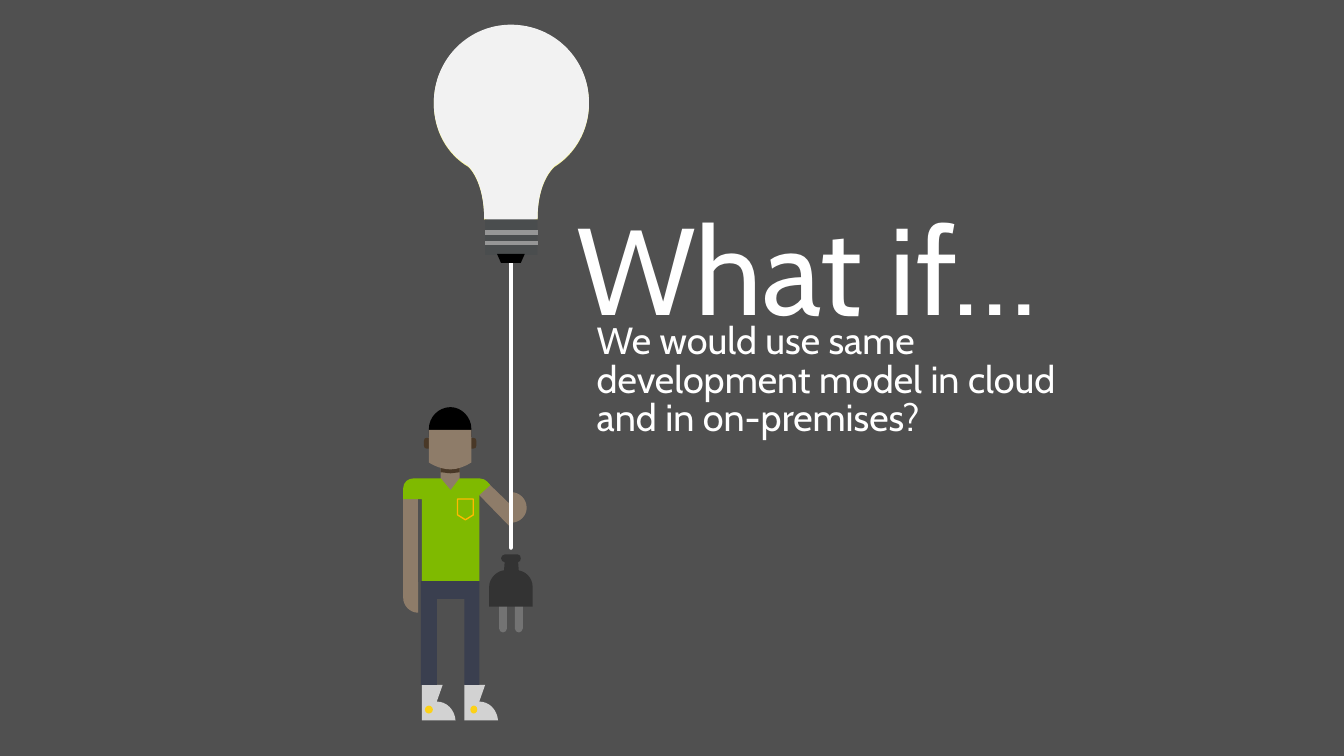
from lxml import etree
from pptx import Presentation
from pptx.dml.color import RGBColor
from pptx.enum.shapes import MSO_CONNECTOR, MSO_SHAPE
from pptx.enum.text import MSO_ANCHOR, PP_ALIGN
from pptx.oxml.ns import qn
from pptx.util import Inches, Pt

STRAIGHT = MSO_CONNECTOR.STRAIGHT
RECTANGLE, OVAL = MSO_SHAPE.RECTANGLE, MSO_SHAPE.OVAL
TOP, LEFT, RIGHT = MSO_ANCHOR.TOP, PP_ALIGN.LEFT, PP_ALIGN.RIGHT

BACKGROUND = RGBColor(0x50, 0x50, 0x50)
WHITE = RGBColor(0xFF, 0xFF, 0xFF)
BLACK = RGBColor(0, 0, 0)
SKIN = RGBColor(0x8E, 0x7C, 0x69)
SKIN_SHADE = RGBColor(0x49, 0x38, 0x27)
SHIRT = RGBColor(0x7F, 0xBA, 0x00)
POCKET = RGBColor(0xFF, 0xB9, 0x00)
TROUSERS = RGBColor(0x3A, 0x3F, 0x4F)
SHOE = RGBColor(0xD2, 0xD2, 0xD2)
SHOE_DOT = RGBColor(0xFC, 0xD1, 0x16)
PRONG = RGBColor(0x73, 0x73, 0x73)
PLUG = RGBColor(0x33, 0x33, 0x33)
GLOW = RGBColor(0xFF, 0xFC, 0x9E)
BULB = RGBColor(0xF2, 0xF2, 0xF2)
SOCKET = RGBColor(0x4A, 0x4D, 0x4E)
THREAD = RGBColor(0x96, 0x96, 0x96)

UNITS_PER_INCH = 1000

deck = Presentation()
deck.slide_width, deck.slide_height = Inches(13.6), Inches(7.65)
page = deck.slides.add_slide(deck.slide_layouts[6])
page.background.fill.solid()
page.background.fill.fore_color.rgb = BACKGROUND


def add_outline(steps, fill=None, right=0, down=0):
    """Two numbers are a corner, six are a Bezier curve to the last point."""
    points = [((step[i] + right) * UNITS_PER_INCH, (step[i + 1] + down) * UNITS_PER_INCH)
              for step in steps for i in range(0, len(step), 2)]
    builder = page.shapes.build_freeform(*points[0], scale=Inches(1) / UNITS_PER_INCH)
    builder.add_line_segments(points[1:], close=True)
    shape = builder.convert_to_shape()
    # Join the three points of each curve into one Bezier segment
    segments = iter(list(shape._element.iter(qn("a:lnTo"))))
    for step in steps[1:]:
        segment = next(segments)
        if len(step) == 6:
            segment.tag = qn("a:cubicBezTo")
            for _ in range(2):
                extra = next(segments)
                segment.append(extra[0])
                extra.getparent().remove(extra)
    shape.shadow.inherit = False
    if fill is None:
        shape.fill.background()
    else:
        shape.fill.solid()
        shape.fill.fore_color.rgb = fill
        shape.line.fill.background()
    return shape


def add_preset(kind, left, top, width, height, fill):
    shape = page.shapes.add_shape(kind, Inches(left), Inches(top), Inches(width), Inches(height))
    shape.shadow.inherit = False
    shape.fill.solid()
    shape.fill.fore_color.rgb = fill
    shape.line.fill.background()


# Title and question
for text, left, top, width, height, size, align in [
    ("What if… ", 5.61, 2.12, 5.26, 1.36, 89.8, RIGHT),
    ("We would use same development model in cloud and in on-premises?",
     5.94, 3.22, 4.96, 0.52, 27.5, LEFT),
]:
    box = page.shapes.add_textbox(Inches(left), Inches(top), Inches(width), Inches(height))
    frame = box.text_frame
    frame.word_wrap = True
    frame.vertical_anchor = TOP
    frame.margin_left = frame.margin_right = Inches(0.1)
    frame.margin_top = frame.margin_bottom = Inches(0.06)
    para = frame.paragraphs[0]
    para.alignment = align
    para.line_spacing = 0.85
    span = para.add_run()
    span.text = text
    span.font.name = "Cabin"
    span.font.size = Pt(size)
    span.font.color.rgb = WHITE

# Ears, hanging arm, neck and head
add_outline([(4.29, 4.51), (4.29, 4.53, 4.3, 4.54, 4.32, 4.54), (4.79, 4.54),
             (4.81, 4.54, 4.82, 4.53, 4.82, 4.51), (4.82, 4.46),
             (4.82, 4.44, 4.81, 4.43, 4.79, 4.43), (4.32, 4.43),
             (4.3, 4.43, 4.29, 4.44, 4.29, 4.46)], SKIN_SHADE)
add_preset(RECTANGLE, 4.08, 5.04, 0.15, 1.01, SKIN)
add_outline([(4.23, 5.89), (4.23, 6.2), (4.15, 6.2, 4.08, 6.13, 4.08, 6.05),
             (4.08, 5.96, 4.15, 5.89, 4.23, 5.89)], SKIN)
add_outline([(4.56, 4.99), (4.65, 4.98), (4.65, 4.63), (4.46, 4.63), (4.46, 4.99)], SKIN)
add_outline([(4.65, 4.78), (4.62, 4.78, 4.59, 4.79, 4.56, 4.79),
             (4.53, 4.79, 4.49, 4.78, 4.46, 4.78), (4.46, 4.63), (4.65, 4.63)], SKIN_SHADE)
add_outline([(4.56, 4.12), (4.67, 4.12, 4.77, 4.22, 4.77, 4.34), (4.77, 4.42),
             (4.34, 4.42), (4.34, 4.34), (4.34, 4.22, 4.44, 4.12, 4.56, 4.12)], BLACK)
add_outline([(4.77, 4.35), (4.77, 4.68), (4.71, 4.72, 4.63, 4.75, 4.56, 4.75),
             (4.44, 4.75, 4.34, 4.68, 4.34, 4.68), (4.34, 4.35)], SKIN)

# Raised arm
add_outline([(4.92, 4.87), (4.89, 4.84, 4.85, 4.84, 4.82, 4.87),
             (4.79, 4.9, 4.79, 4.95, 4.82, 4.98), (5.17, 5.34), (5.21, 5.15)], SKIN)

# Shoes
for right in (0, 0.43):
    add_outline([(4.42, 7.1), (4.48, 6.93), (4.27, 6.93), (4.27, 7.29), (4.61, 7.29),
                 (4.6, 7.18, 4.52, 7.1, 4.42, 7.1)], SHOE, right)

# Shirt, hand and trousers
add_outline([(4.85, 4.84), (4.65, 4.84), (4.56, 4.96), (4.46, 4.84), (4.19, 4.84),
             (4.13, 4.84, 4.08, 4.88, 4.08, 4.94), (4.08, 5.05), (4.27, 5.05),
             (4.27, 5.88), (4.85, 5.88), (4.85, 5.01), (4.96, 4.91),
             (4.96, 4.91, 4.92, 4.84, 4.85, 4.84)], SHIRT)
add_outline([(5.17, 5.29), (5.17, 4.98), (5.26, 4.98, 5.33, 5.05, 5.33, 5.14),
             (5.33, 5.22, 5.26, 5.29, 5.17, 5.29)], SKIN)
add_outline([(4.26, 5.88), (4.85, 5.88), (4.85, 6.93), (4.7, 6.93), (4.7, 6.06),
             (4.42, 6.06), (4.42, 6.93), (4.26, 6.93)], TROUSERS)

# Shirt pocket and shoe dots
pocket = add_outline([(4.79, 5.21), (4.71, 5.26), (4.63, 5.21), (4.63, 5.05), (4.79, 5.05)])
pocket.line.color.rgb = POCKET
pocket.line.width = Pt(1)
for left, width in ((4.3, 0.08), (4.76, 0.07)):
    add_preset(OVAL, left, 7.14, width, 0.08, SHOE_DOT)

# Plug
for right in (0, 0.16):
    add_outline([(5.13, 6.02), (5.13, 5.99, 5.11, 5.98, 5.09, 5.98),
                 (5.07, 5.98, 5.05, 5.99, 5.05, 6.02), (5.05, 6.36),
                 (5.05, 6.38, 5.07, 6.4, 5.09, 6.4),
                 (5.11, 6.4, 5.13, 6.38, 5.13, 6.36)], PRONG, right)
add_outline([(4.95, 6.14), (4.95, 5.94), (4.95, 5.85, 5.03, 5.77, 5.12, 5.77), (5.22, 5.77),
             (5.32, 5.77, 5.39, 5.85, 5.39, 5.94), (5.39, 6.14)], PLUG)
add_outline([(5.24, 5.65), (5.11, 5.65), (5.09, 5.91), (5.26, 5.91)], PLUG)
add_outline([(5.27, 5.65), (5.27, 5.63, 5.26, 5.61, 5.24, 5.61), (5.11, 5.61),
             (5.09, 5.61, 5.07, 5.63, 5.07, 5.65), (5.07, 5.67, 5.09, 5.69, 5.11, 5.69),
             (5.24, 5.69), (5.26, 5.69, 5.27, 5.67, 5.27, 5.65)], PLUG)

# Bulb with a thin glowing rim, and socket
for color, down in ((GLOW, 0.01), (BULB, 0)):
    add_outline([(5.96, 1.04), (5.96, 0.6, 5.61, 0.25, 5.17, 0.25),
                 (4.74, 0.25, 4.39, 0.6, 4.39, 1.04), (4.39, 1.31, 4.52, 1.55, 4.74, 1.68),
                 (4.74, 1.68, 4.9, 1.82, 4.9, 2.21), (5.17, 2.32), (5.44, 2.21), (5.44, 2.17),
                 (5.45, 1.83, 5.59, 1.7, 5.61, 1.68),
                 (5.82, 1.55, 5.96, 1.31, 5.96, 1.04)], color, down=down)
add_preset(RECTANGLE, 4.91, 2.22, 0.53, 0.36, SOCKET)

# Cable and socket threads
for x1, y1, x2, y2, color, cap in [
    (5.17, 2.66, 5.17, 5.54, WHITE, "rnd"),
    (4.91, 2.35, 5.44, 2.35, THREAD, "flat"),
    (4.91, 2.46, 5.44, 2.46, THREAD, "flat"),
]:
    line = page.shapes.add_connector(STRAIGHT, Inches(x1), Inches(y1), Inches(x2), Inches(y2))
    line.line.color.rgb = color
    line.line.width = Pt(3.38)
    properties = line._element.spPr
    properties.find(qn("a:ln")).set("cap", cap)
    etree.SubElement(properties, qn("a:effectLst"))

# Socket tip
add_outline([(5.03, 2.57), (5.07, 2.66), (5.27, 2.66), (5.31, 2.57)], BLACK)

deck.save("out.pptx")
